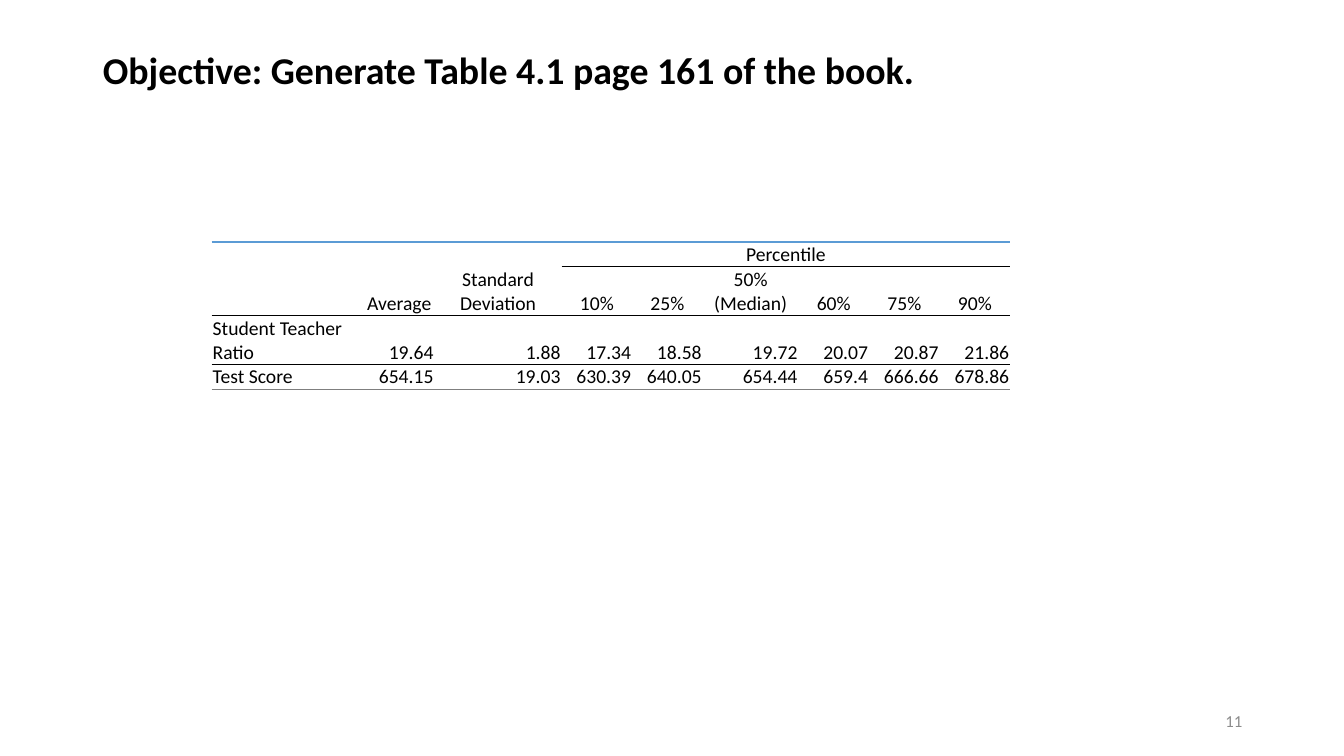
import pptx
import pptx.util
import pptx.dml.color
import pptx.enum.text
import pptx.oxml.ns
import lxml.etree

Inches = pptx.util.Inches
Pt = pptx.util.Pt
ALIGN = pptx.enum.text.PP_ALIGN
ANCHOR = pptx.enum.text.MSO_ANCHOR
qn = pptx.oxml.ns.qn

WIDTHS = [1.51, 0.7, 1.26, 0.7, 0.7, 0.95, 0.7, 0.7, 0.7]
HEIGHTS = [0.24, 0.48, 0.48, 0.24]
ROWS = [
    ["", "", "", "Percentile", "", "", "", "", ""],
    ["", "Average", "Standard Deviation", "10%", "25%", "50% (Median)",
     "60%", "75%", "90%"],
    ["Student Teacher Ratio", "19.64", "1.88", "17.34", "18.58", "19.72",
     "20.07", "20.87", "21.86"],
    ["Test Score", "654.15", "19.03", "630.39", "640.05", "654.44",
     "659.4", "666.66", "678.86"],
]
RULES = [("5B9BD5", 1), ("000000", 1), ("000000", 1.5), ("000000", 1),
         ("7F7F7F", 1)]
PLAIN = "{2D5ABB26-0587-4C30-8999-92F81FD0307C}"


def color(code):
    """Turn a hex string into a colour."""
    return pptx.dml.color.RGBColor.from_string(code)


def style(para, size, code="000000", bold=False, align=ALIGN.LEFT):
    """Set the font and alignment of a paragraph."""
    para.alignment = align
    para.font.name = "Calibri"
    para.font.size = Pt(size)
    para.font.bold = bold
    para.font.color.rgb = color(code)


def place(shape, left, top, width, height):
    """Move and size a shape."""
    shape.left, shape.top = Inches(left), Inches(top)
    shape.width, shape.height = Inches(width), Inches(height)


def add_rule(cell, side, code, width):
    """Draw one border of a cell."""
    props = cell._tc.get_or_add_tcPr()
    line = lxml.etree.SubElement(props, qn("a:" + side), w=str(Pt(width)))
    fill = lxml.etree.SubElement(line, qn("a:solidFill"))
    lxml.etree.SubElement(fill, qn("a:srgbClr"), val=code)


def fill_cell(cell, text, row, col):
    """Write, align and rule one table cell."""
    cell.text = text
    cell.vertical_anchor = ANCHOR.BOTTOM
    cell.margin_left = cell.margin_right = cell.margin_top = Inches(0.01)
    cell.margin_bottom = 0
    para = cell.text_frame.paragraphs[0]
    align = ALIGN.CENTER if row < 2 else ALIGN.RIGHT if col else ALIGN.LEFT
    style(para, 14, align=align)
    lxml.etree.SubElement(para._p, qn("a:endParaRPr"), sz="1400")
    for side, edge in (("lnT", row), ("lnB", row + 1)):
        if edge != 1 or col > 2:
            add_rule(cell, side, *RULES[edge])
    cell.fill.background()


def add_stats(slide):
    """Add the table of summary statistics."""
    frame = slide.shapes.add_table(
        len(ROWS), len(WIDTHS), Inches(2.1), Inches(2.4),
        Inches(sum(WIDTHS)), Inches(sum(HEIGHTS)))
    table = frame.table
    table.first_row = table.horz_banding = False
    table._tbl.tblPr.find(qn("a:tableStyleId")).text = PLAIN
    for col, width in zip(table.columns, WIDTHS):
        col.width = Inches(width)
    for row, height in zip(table.rows, HEIGHTS):
        row.height = Inches(height)
    for row, texts in enumerate(ROWS):
        for col, text in enumerate(texts):
            fill_cell(table.cell(row, col), text, row, col)
    table.cell(0, 3).merge(table.cell(0, 8))


def add_title(slide, text):
    """Fill and format the title."""
    title = slide.shapes.title
    place(title, 0.92, 0.4, 8.53, 0.64)
    frame = title.text_frame
    frame.text = text
    frame.vertical_anchor = ANCHOR.MIDDLE
    para = frame.paragraphs[0]
    para.line_spacing = 0.9
    style(para, 27, bold=True)


def add_number(slide, text):
    """Add the page number."""
    box = slide.shapes.add_textbox(
        Inches(9.42), Inches(6.95), Inches(3), Inches(0.4))
    frame = box.text_frame
    frame.word_wrap = True
    frame.text = text
    frame.vertical_anchor = ANCHOR.MIDDLE
    style(frame.paragraphs[0], 12, "8C8C8C", align=ALIGN.RIGHT)


def main():
    """Build and save the slide."""
    deck = pptx.Presentation()
    deck.slide_width, deck.slide_height = Inches(13.33), Inches(7.5)
    slide = deck.slides.add_slide(deck.slide_layouts[5])
    add_title(slide, "Objective: Generate Table 4.1 page 161 of the book.")
    add_stats(slide)
    add_number(slide, "11")
    deck.save("out.pptx")


if __name__ == "__main__":
    main()
